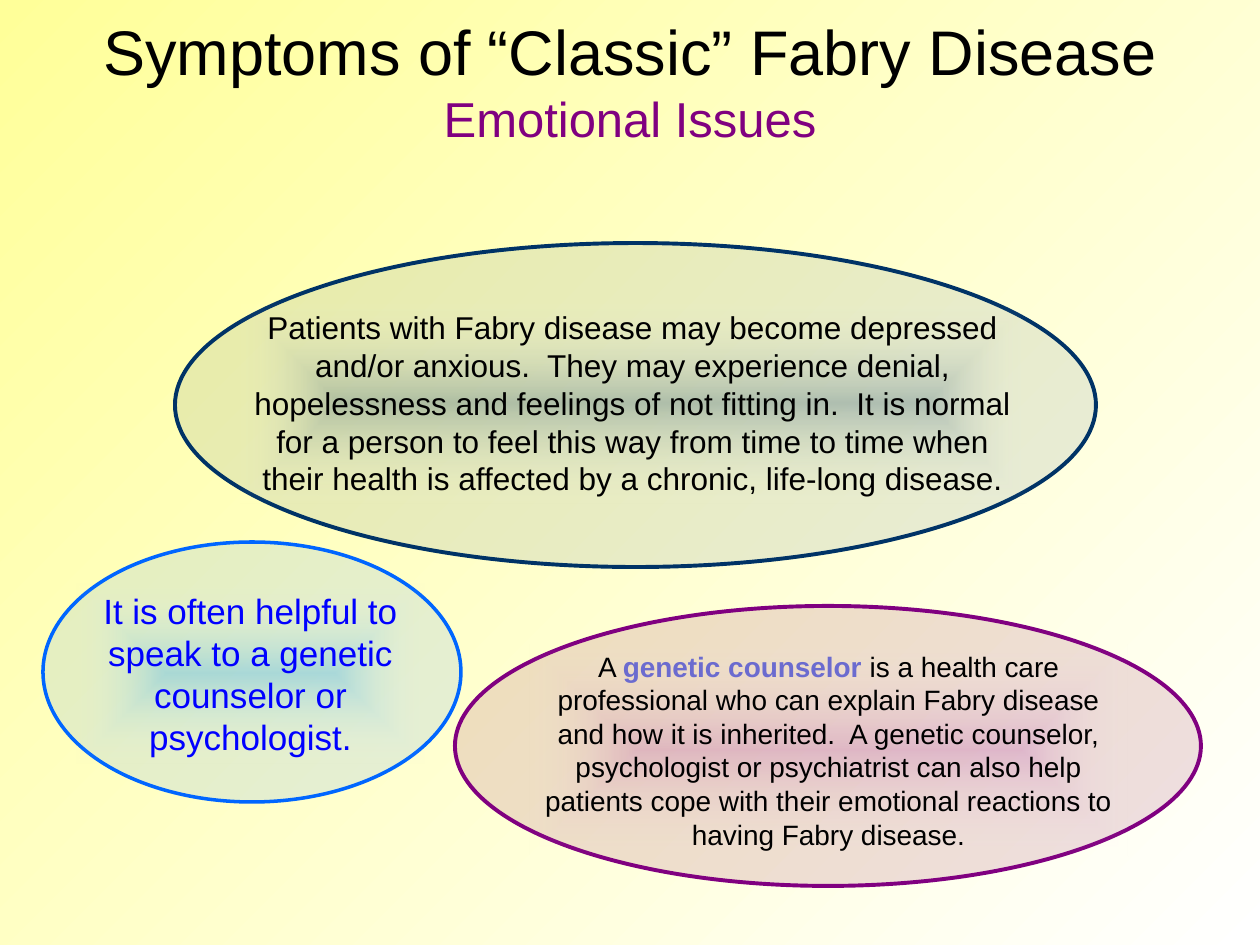
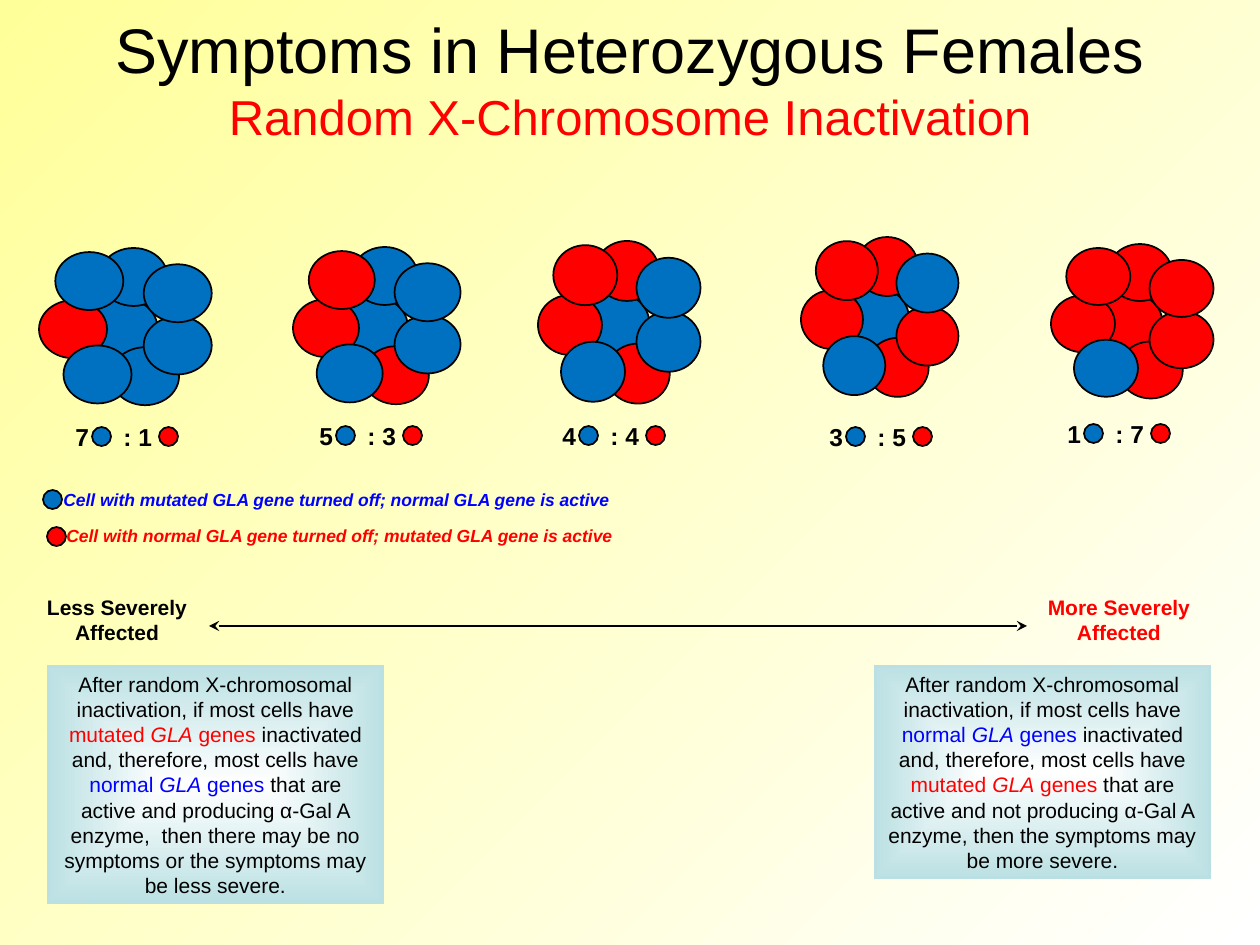
"""Build two slides on Fabry disease: emotional issues and X-chromosome inactivation."""
from lxml import etree
from pptx import Presentation
from pptx.dml.color import RGBColor
from pptx.enum.shapes import MSO_CONNECTOR, MSO_SHAPE
from pptx.enum.text import MSO_ANCHOR, MSO_AUTO_SIZE, PP_ALIGN
from pptx.oxml import parse_xml
from pptx.oxml.ns import nsdecls, qn
from pptx.util import Pt

OVAL, RECTANGLE = MSO_SHAPE.OVAL, MSO_SHAPE.RECTANGLE
CENTER, LEFT = PP_ALIGN.CENTER, PP_ALIGN.LEFT
TOP, MIDDLE = MSO_ANCHOR.TOP, MSO_ANCHOR.MIDDLE
STRAIGHT, NO_AUTOFIT = MSO_CONNECTOR.STRAIGHT, MSO_AUTO_SIZE.NONE

PX = 914400 / 126
FONT = "Arial"
BLACK, WHITE, RED, BLUE = "000000", "FFFFFF", "FF0000", "0000FF"
PURPLE, CELL_BLUE, PALE_YELLOW, PALE_TEAL = "800080", "0070C0", "FFFF99", "BBE0E3"
color = RGBColor.from_string


def add_filled(slide, kind, box, stops, line=None, line_width=1):
    """Add a shape filled with one (colour, opacity) stop, or a centre-to-edge pair."""
    shape = slide.shapes.add_shape(kind, *[round(length * PX) for length in box])
    shape.shadow.inherit = False
    tints = [f'<a:srgbClr val="{tint}"><a:alpha val="{opacity * 1000}"/></a:srgbClr>'
             for tint, opacity in stops]
    if len(tints) == 1:
        fill = f'<a:solidFill {nsdecls("a")}>{tints[0]}</a:solidFill>'
    else:
        fill = (f'<a:gradFill {nsdecls("a")} rotWithShape="1"><a:gsLst>'
                f'<a:gs pos="0">{tints[0]}</a:gs><a:gs pos="100000">{tints[1]}</a:gs></a:gsLst>'
                '<a:path path="rect"><a:fillToRect l="50000" t="50000" r="50000" b="50000"/>'
                '</a:path></a:gradFill>')
    shape.fill.background()
    properties = shape._element.spPr
    properties.replace(properties.find(qn("a:noFill")), parse_xml(fill))
    if line:
        shape.line.color.rgb = color(line)
        shape.line.width = Pt(line_width)
    else:
        shape.line.fill.background()
    return shape


def write(shape, paragraphs, align=CENTER, anchor=TOP, tab=None):
    """Fill a shape with paragraphs of (text, size, colour, style) runs."""
    frame = shape.text_frame
    frame.word_wrap = True
    frame.auto_size = NO_AUTOFIT
    frame.vertical_anchor = anchor
    for number, runs in enumerate(paragraphs):
        paragraph = frame.add_paragraph() if number else frame.paragraphs[0]
        paragraph.alignment = align
        if tab:
            tab_list = etree.SubElement(paragraph._p.get_or_add_pPr(), qn("a:tabLst"))
            etree.SubElement(tab_list, qn("a:tab"), pos=str(round(tab * PX)), algn="l")
        for text, size, tint, style in runs:
            run = paragraph.add_run()
            run.text = text
            run.font.name = FONT
            run.font.size = Pt(size)
            run.font.color.rgb = color(tint)
            run.font.bold = "b" in style
            run.font.italic = "i" in style


presentation = Presentation()
presentation.slide_width = round(1260 * PX)
presentation.slide_height = round(945 * PX)
background = presentation.slide_master.background.fill
background.gradient()
background.gradient_angle = 315
for stop, tint in zip(background.gradient_stops, (PALE_YELLOW, WHITE)):
    stop.color.rgb = color(tint)

titles = [
    ("Symptoms of “Classic” Fabry Disease", "Emotional Issues", PURPLE, (63, 1, 1134, 158)),
    ("Symptoms in Heterozygous Females", "Random X-Chromosome Inactivation", RED,
     (37, 23, 1186, 110)),
]
slides = []
for heading, subheading, tint, box in titles:
    slide = presentation.slides.add_slide(presentation.slide_layouts[5])
    title = slide.shapes.title
    title.left, title.top, title.width, title.height = [round(length * PX) for length in box]
    write(title, [[(heading, 36, BLACK, "")], [(subheading, 28, tint, "")]], anchor=MIDDLE)
    slides.append(slide)
emotions, inactivation = slides

bubbles = [
    ((175, 243, 921, 324), ("003366", 9), "003366", 2.25,
     (238, 302, 789, 202), ("003366", 24),
     [("Patients with Fabry disease may become depressed and/or anxious.  They may experience "
       "denial, hopelessness and feelings of not fitting in.  It is normal for a person to feel "
       "this way from time to time when their health is affected by a chronic, life-long disease.",
       18, BLACK, "")]),
    ((43, 542, 418, 260), ("0066FF", 10), "0066FF", 2,
     (76, 583, 349, 181), ("0099FF", 26),
     [("It is often helpful to speak to a genetic counselor or psychologist.", 20, BLUE, "")]),
    ((455, 606, 746, 280), ("993366", 16), PURPLE, 2.25,
     (529, 643, 599, 214), ("990099", 17),
     [("A ", 16, BLACK, ""), ("genetic counselor ", 16, "6B6BCF", "b"),
      ("is a health care professional who can explain Fabry disease and how it is inherited.  "
       "A genetic counselor, psychologist or psychiatrist can also help patients cope with their "
       "emotional reactions to having Fabry disease.", 16, BLACK, "")]),
]
for oval_box, oval_fill, outline, outline_width, text_box, glow, runs in bubbles:
    add_filled(emotions, OVAL, oval_box, [oval_fill], outline, outline_width)
    panel = add_filled(emotions, RECTANGLE, text_box, [glow, (WHITE, 0)])
    write(panel, [runs])

normal, mutated = ("normal ", BLUE), ("mutated ", RED)
outcomes = [
    (47, 239, mutated, normal,
     "that are active and producing α-Gal A enzyme,  then there may be no symptoms or the "
     "symptoms may be less severe."),
    (874, 214, normal, mutated,
     "that are active and not producing α-Gal A enzyme, then the symptoms may be more severe."),
]
for left, height, (silent, silent_tint), (active, active_tint), ending in outcomes:
    panel = add_filled(inactivation, RECTANGLE, (left, 665, 337, height),
                       [(WHITE, 100), (PALE_TEAL, 100)])
    write(panel, [[
        ("After random X-chromosomal inactivation, if most cells have ", 12, BLACK, ""),
        (silent, 12, silent_tint, ""), ("GLA", 12, silent_tint, "i"),
        (" genes ", 12, silent_tint, ""),
        ("inactivated and, therefore, most cells have ", 12, BLACK, ""),
        (active, 12, active_tint, ""), ("GLA", 12, active_tint, "i"),
        (" genes ", 12, active_tint, ""), (ending, 12, BLACK, ""),
    ]])

arrow = inactivation.shapes.add_connector(
    STRAIGHT, *[round(length * PX) for length in (209, 626, 1027, 626)])
arrow.line.color.rgb = color(BLACK)
arrow.line.width = Pt(1)
arrow_line = arrow.line._get_or_add_ln()
for end in ("a:headEnd", "a:tailEnd"):
    etree.SubElement(arrow_line, qn(end), type="stealth")
etree.SubElement(arrow._element.spPr, qn("a:effectLst"))

cell_tints = {"B": CELL_BLUE, "R": RED}
cell_offsets = [(0.74, 0.87), (0.89, 0), (0, 0.9), (0.24, 0.07),
                (1.06, 1.71), (0.36, 1.68), (1.54, 1.18), (1.54, 0.28)]
clusters = [
    (39, 248, 68, 58, "BBRBBBBB", 63, 416),
    (293, 247, 66, 58, "BBRRRBBB", 307, 415),
    (538, 241, 64, 60, "BRRRRBBB", 550, 415),
    (801, 237, 62, 59, "BRRRRBRB", 817, 416),
    (1051, 244, 64, 57, "RRRRRBRR", 1055, 413),
]
labels = []
dots = []
for left, top, width, height, cells, ratio_left, ratio_top in clusters:
    for cell, (across, down) in zip(cells, cell_offsets):
        add_filled(inactivation, OVAL,
                   (left + across * width, top + down * height, width, height),
                   [(cell_tints[cell], 100)], BLACK)
    blue_count = cells.count("B")
    labels.append(((ratio_left, ratio_top, 141, 43),
                   f"{blue_count}\t: {len(cells) - blue_count}", 14, BLACK, "b", LEFT, 48))
    dots += [(ratio_left + 29, ratio_top + 11, CELL_BLUE), (ratio_left + 96, ratio_top + 11, RED)]

labels += [
    ((51, 483, 620, 34), "Cell with mutated GLA gene turned off; normal GLA gene is active",
     10, BLUE, "bi", LEFT, None),
    ((54, 519, 620, 34), "Cell with normal GLA gene turned off; mutated GLA gene is active",
     10, RED, "bi", LEFT, None),
    ((25, 588, 184, 63), "Less Severely Affected", 12, BLACK, "b", CENTER, None),
    ((1031, 588, 176, 63), "More Severely Affected", 12, RED, "b", CENTER, None),
]
dots += [(43, 490, CELL_BLUE), (47, 527, RED)]
for box, text, size, tint, style, align, tab in labels:
    label = inactivation.shapes.add_textbox(*[round(length * PX) for length in box])
    write(label, [[(text, size, tint, style)]], align, tab=tab)
for left, top, tint in dots:
    add_filled(inactivation, OVAL, (left, top, 19, 19), [(tint, 100)], BLACK)

presentation.save("out.pptx")
